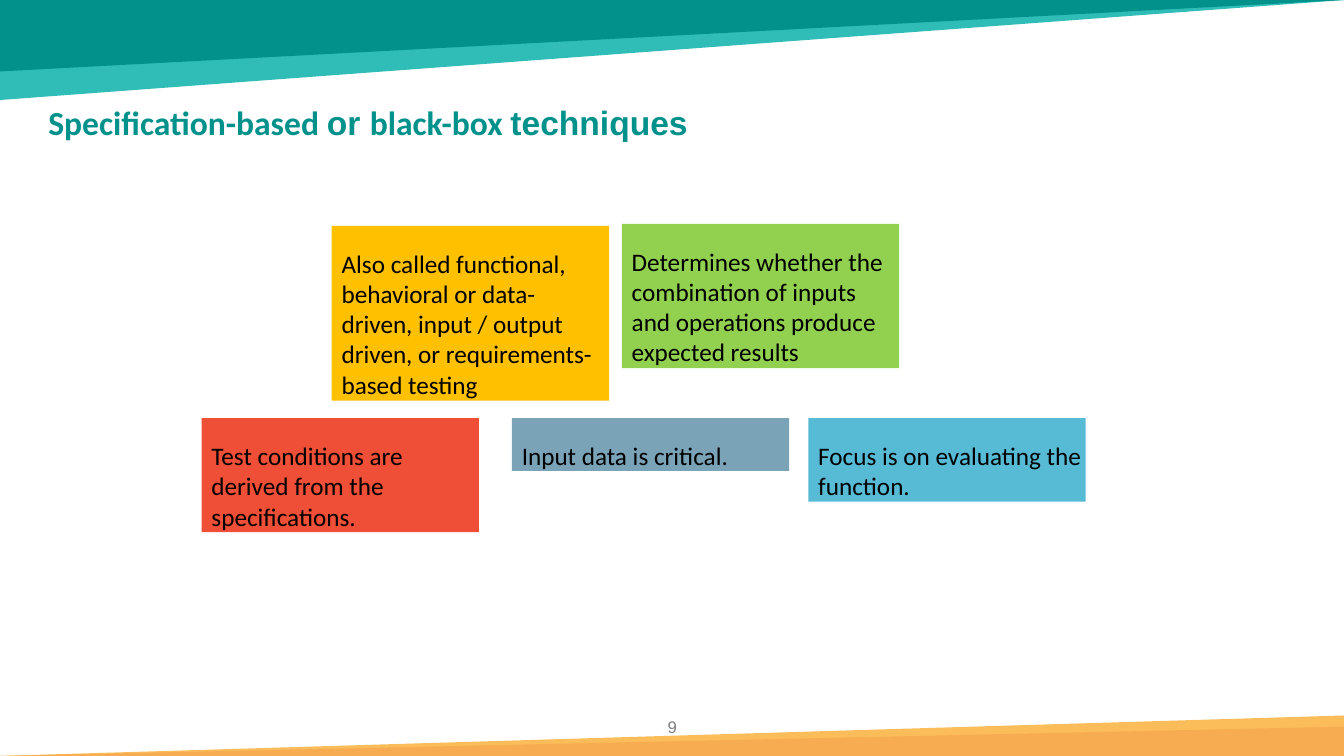
from pptx import Presentation
from pptx.dml.color import RGBColor
from pptx.enum.shapes import MSO_SHAPE as SHAPE
from pptx.enum.text import MSO_ANCHOR as ANCHOR, PP_ALIGN as ALIGN
from pptx.util import Cm, Pt

COLORS = {
    "teal": "02918B", "light_teal": "30BDB7",
    "orange": "F8AC52", "light_orange": "FBBD5A",
    "yellow": "FFC000", "green": "92D050", "red": "EF4E37",
    "slate": "7AA3B8", "blue": "57BBD5",
    "black": "000000", "gray": "808080",
}
WIDTH, HEIGHT = 33.87, 19.05
CARD_WIDTH, CARD_TOP_INSET, LINE_HEIGHT = 6.99, 0.56, 0.77
LOWER_ROW = 10.54

# left, top, number of lines, colour, text
CARDS = [
    (8.36, 5.69, 5, "yellow", "Also called functional, behavioral or data- driven, "
                              "input / output driven, or requirements- based testing"),
    (15.67, 5.64, 4, "green", "Determines whether the combination of inputs "
                              "and operations produce expected results"),
    (5.08, LOWER_ROW, 3, "red", "Test conditions are derived from the specifications."),
    (12.9, LOWER_ROW, 1, "slate", "Input data is critical."),
    (20.37, LOWER_ROW, 2, "blue", "Focus is on evaluating the function."),
]
TITLE = [("Specification-based ", "Calibri"), ("or ", "Arial"),
         ("black-box ", "Calibri"), ("techniques", "Arial")]


def rgb(name):
    return RGBColor.from_string(COLORS[name])


def add_filled(slide, kind, box, color):
    sp = slide.shapes.add_shape(kind, *map(Cm, box))
    sp.shadow.inherit = False
    sp.fill.solid()
    sp.fill.fore_color.rgb = rgb(color)
    sp.line.fill.background()
    return sp


def add_wedge(slide, top, height, color, rotation=0):
    """Add a full-width right triangle, mirrored left to right."""
    sp = add_filled(slide, SHAPE.RIGHT_TRIANGLE, (0, top, WIDTH, height), color)
    sp.rotation = rotation
    sp._element.spPr.get_or_add_xfrm().set("flipH", "1")


def write(sp, runs, size, color, bold=False, align=ALIGN.LEFT, spacing=1.0, **frame):
    """Write (text, font) runs as one paragraph; frame holds text frame settings."""
    tf = sp.text_frame
    for name, value in {"word_wrap": True, "vertical_anchor": ANCHOR.TOP, **frame}.items():
        setattr(tf, name, value)
    p = tf.paragraphs[0]
    p.alignment, p.line_spacing = align, spacing
    for text, font in runs:
        r = p.add_run()
        r.text = text
        for name, value in {"name": font, "size": Pt(size), "bold": bold}.items():
            setattr(r.font, name, value)
        r.font.color.rgb = rgb(color)


def add_text(slide, box, runs, size, color, **style):
    write(slide.shapes.add_textbox(*map(Cm, box)), runs, size, color, **style)


def add_card(slide, left, top, lines, color, text):
    box = (left, top, CARD_WIDTH, CARD_TOP_INSET + lines * LINE_HEIGHT)
    sp = add_filled(slide, SHAPE.RECTANGLE, box, color)
    write(sp, [(text, "Calibri")], 18, "black", margin_left=Cm(0.25),
          margin_top=Cm(CARD_TOP_INSET), margin_right=0, margin_bottom=0)


def main():
    prs = Presentation()
    prs.slide_width, prs.slide_height = Cm(WIDTH), Cm(HEIGHT)
    slide = prs.slides.add_slide(prs.slide_layouts[6])

    add_wedge(slide, 0, 2.52, "light_teal", 180)
    add_wedge(slide, 0, 1.8, "teal", 180)
    for height, color in ((1.02, "light_orange"), (0.74, "orange")):
        add_wedge(slide, HEIGHT - height, height, color)

    add_text(slide, (16.1, 17.93, 1.68, 0.76), [("9", "Arial")], 12, "gray",
             align=ALIGN.CENTER)
    add_text(slide, (0.97, 2.57, 22.33, 1.02), TITLE, 24, "teal", bold=True, spacing=0.9)
    for card in CARDS:
        add_card(slide, *card)

    prs.save("out.pptx")


if __name__ == "__main__":
    main()
